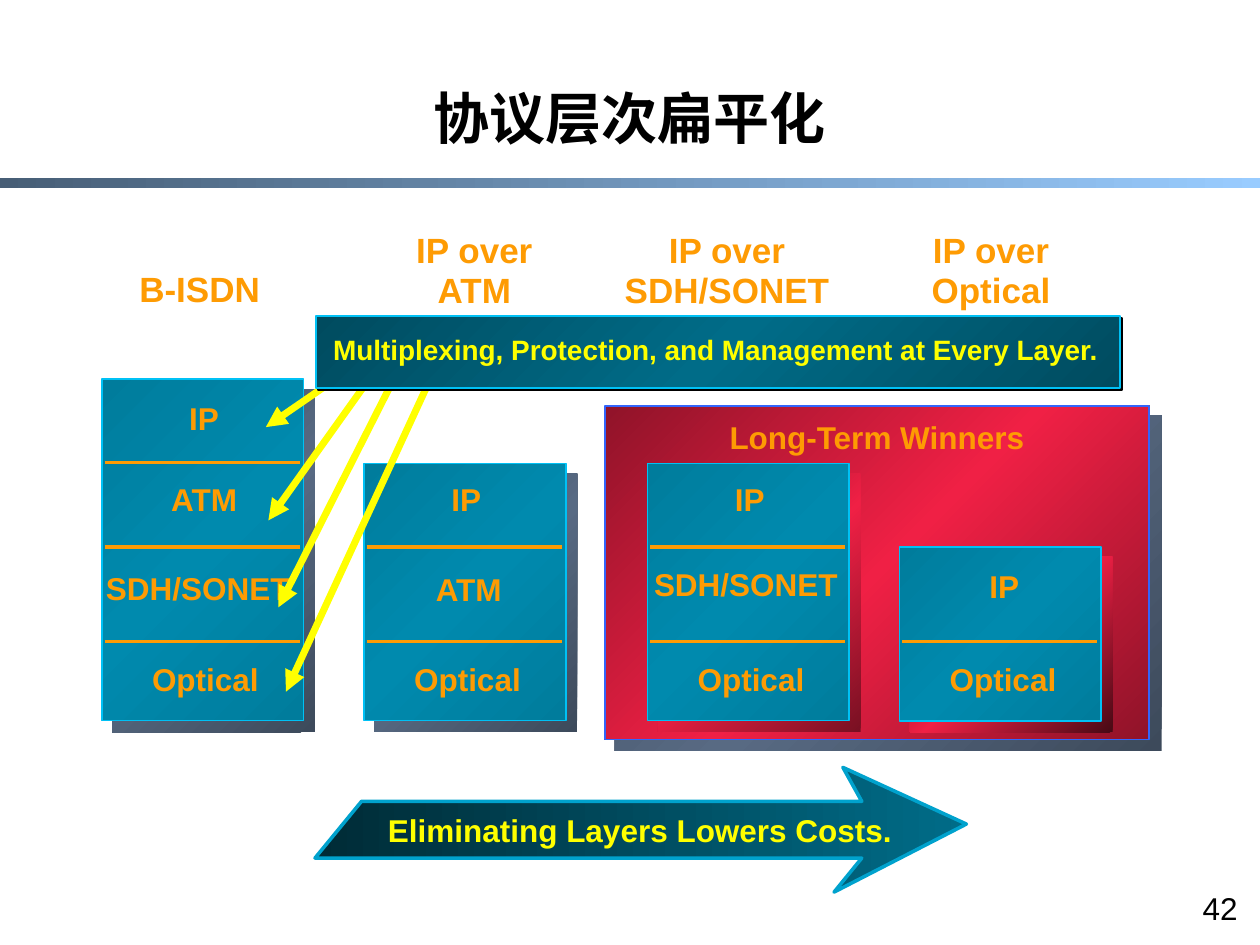
from copy import deepcopy

from lxml.etree import SubElement
from pptx import Presentation
from pptx.dml.color import RGBColor
from pptx.enum.shapes import MSO_CONNECTOR, MSO_SHAPE
from pptx.enum.text import MSO_ANCHOR, MSO_AUTO_SIZE, PP_ALIGN
from pptx.oxml.ns import qn
from pptx.util import Pt

PX = 9144  # 100 px to the inch

BLACK = RGBColor(0x00, 0x00, 0x00)
ORANGE = RGBColor(0xFE, 0x9B, 0x03)
YELLOW = RGBColor(0xFF, 0xFF, 0x00)
CYAN = RGBColor(0x00, 0xC1, 0xF5)
ARROW_EDGE = RGBColor(0x00, 0xA2, 0xCD)
PANEL_EDGE = RGBColor(0x33, 0x65, 0xFB)
BAR = (RGBColor(0x47, 0x5E, 0x76), RGBColor(0x99, 0xCC, 0xFF))
COST_FILL = (RGBColor(0x00, 0x2B, 0x36), RGBColor(0x00, 0x6C, 0x88))
# Diagonal gradients: edge colour, middle colour
SLATE = (RGBColor(0x3D, 0x4A, 0x5B), RGBColor(0x58, 0x6A, 0x83))
RED = RGBColor(0xF0, 0x20, 0x45)
PANEL_FILL = (RGBColor(0x90, 0x13, 0x29), RED)
WINE = (RGBColor(0x78, 0x10, 0x22), RED)
DARK_WINE = (RGBColor(0x48, 0x0A, 0x15), RED)
TEAL = (RGBColor(0x00, 0x7C, 0x9C), RGBColor(0x00, 0x8A, 0xAE))
BANNER_FILL = (RGBColor(0x00, 0x4B, 0x5F), RGBColor(0x00, 0x6C, 0x88))

STACK_WIDTH = 160
STACK_BOTTOM = 572
LABEL_WIDTH = 172
DIVIDER_RISES = (63, 138, 205)  # above the bottom of a stack

# left, top, shadow, layers as (text, centre, top) within the stack
STACKS = (
    (81, 301, SLATE, (("IP", 81, 14), ("ATM", 81, 78),
                      ("SDH/SONET", 76, 149), ("Optical", 82, 221))),
    (289, 368, SLATE, (("IP", 81, 11), ("ATM", 83, 83), ("Optical", 82, 154))),
    (514, 368, WINE, (("IP", 81, 11), ("SDH/SONET", 78, 79), ("Optical", 82, 154))),
    (714, 434, DARK_WINE, (("IP", 83, 14), ("Optical", 82, 88))),
)
HEADINGS = (
    ("B-ISDN", (95, 211, 127, 40)),
    ("IP over ATM", (293, 180, 167, 71)),
    ("IP over SDH/SONET", (485, 180, 184, 71)),
    ("IP over Optical", (712, 180, 149, 71)),
)
# tip x, tip y, tail x, tail y
POINTERS = ((227, 549, 347, 289), (211, 339, 272, 297),
            (213, 413, 295, 298), (221, 482, 314, 298))
COST_OUTLINE = ((287, 636), (250, 681), (684, 681), (662, 708),
                (767, 654), (669, 609), (684, 636))


def emu(*lengths):
    return [length * PX for length in lengths]


def apply_format(target, values):
    for name, value in values.items():
        setattr(target, name, value)


def paint(shape, colors, angle, line=None, line_width=1):
    """Fill with a gradient; an angle other than 0 runs edge, middle, edge."""
    shape.shadow.inherit = False
    shape.fill.gradient()
    shape.fill.gradient_angle = angle
    if angle:
        colors = (*colors, colors[0])
        stop_list = shape._element.spPr.find(qn("a:gradFill")).find(qn("a:gsLst"))
        stop_list.append(deepcopy(stop_list[-1]))
    for index, (stop, color) in enumerate(zip(shape.fill.gradient_stops, colors)):
        stop.position = index / (len(colors) - 1)
        stop.color.rgb = color
    if line is None:
        shape.line.fill.background()
    else:
        shape.line.color.rgb = line
        shape.line.width = Pt(line_width)


def add_rectangle(slide, box, colors, angle=315, line=None):
    shape = slide.shapes.add_shape(MSO_SHAPE.RECTANGLE, *emu(*box))
    paint(shape, colors, angle, line)
    return shape


def write(frame, text, size, color, bold=True, align=PP_ALIGN.CENTER, spacing=1.0):
    frame.text = text
    paragraph = frame.paragraphs[0]
    apply_format(paragraph, {"alignment": align, "line_spacing": spacing})
    apply_format(paragraph.font, {"name": "Arial", "size": Pt(size), "bold": bold})
    paragraph.font.color.rgb = color


def add_text(slide, box, text, size, color, inset=(8, 4), wrap=True, **style):
    frame = slide.shapes.add_textbox(*emu(*box)).text_frame
    across, down = emu(*inset)
    apply_format(frame, {"word_wrap": wrap, "margin_left": across, "margin_right": across,
                         "margin_top": down, "margin_bottom": down})
    write(frame, text, size, color, **style)


def add_line(slide, ends, color, width):
    line = slide.shapes.add_connector(MSO_CONNECTOR.STRAIGHT, *emu(*ends))
    line.line.color.rgb = color
    line.line.width = Pt(width)
    SubElement(line._element.spPr, qn("a:effectLst"))
    return line


def add_title(slide, box):
    title = slide.shapes.title
    apply_format(title, dict(zip(("left", "top", "width", "height"), emu(*box))))
    apply_format(title.text_frame, {"vertical_anchor": MSO_ANCHOR.BOTTOM,
                                    "auto_size": MSO_AUTO_SIZE.NONE, "word_wrap": True})
    write(title.text_frame, "协议层次扁平化", 32, BLACK, spacing=0.9)


def add_winners_panel(slide, left, top, width, height):
    add_rectangle(slide, (left + 8, top + 8, width + 2, height + 1), SLATE)
    add_rectangle(slide, (left, top, width, height), PANEL_FILL, line=PANEL_EDGE)
    add_text(slide, (left + 89, top + 5, 254, 39), "Long-Term Winners", 18, ORANGE,
             inset=(9, 5), wrap=False)


def add_stack(slide, left, top, shadow, layers):
    """Draw one protocol stack with its drop shadow, labels and dividers."""
    height = STACK_BOTTOM - top
    add_rectangle(slide, (left + 8, top + 8, STACK_WIDTH + 1, height + 1), shadow)
    add_rectangle(slide, (left, top, STACK_WIDTH, height), TEAL, line=CYAN)
    for text, centre, label_top in layers:
        box = (left + centre - LABEL_WIDTH // 2, top + label_top, LABEL_WIDTH, 36)
        add_text(slide, box, text, 18, ORANGE, spacing=0.95)
    for rise in DIVIDER_RISES[:len(layers) - 1]:
        y = STACK_BOTTOM - rise
        add_line(slide, (left + 2, y, left + 157, y), ORANGE, 2)


def add_pointers(slide):
    for ends in POINTERS:
        pointer = add_line(slide, ends, YELLOW, 4)
        SubElement(pointer.line._get_or_add_ln(), qn("a:headEnd"), type="triangle")


def add_banner(slide, left, top, width, height):
    banner = add_rectangle(slide, (left, top, width, height), BANNER_FILL, line=CYAN)
    effects = banner._element.spPr.find(qn("a:effectLst"))
    shadow = SubElement(effects, qn("a:outerShdw"), dist=str(Pt(1.4)), dir="2700000",
                        algn="ctr", rotWithShape="0")
    SubElement(shadow, qn("a:srgbClr"), val=str(BLACK))
    add_text(slide, (left - 1, top + 8, width - 2, 36),
             "Multiplexing, Protection, and Management at Every Layer.", 16, YELLOW,
             inset=(9, 5))


def add_cost_arrow(slide):
    start, *corners = COST_OUTLINE
    builder = slide.shapes.build_freeform(*start, scale=PX)
    builder.add_line_segments(corners, close=True)
    paint(builder.convert_to_shape(), COST_FILL, 0, ARROW_EDGE, 2)
    add_text(slide, (298, 639, 420, 40), "Eliminating Layers Lowers Costs.", 18, YELLOW,
             inset=(10, 5), wrap=False)


def main():
    presentation = Presentation()
    presentation.slide_width, presentation.slide_height = emu(1000, 750)
    slide = presentation.slides.add_slide(presentation.slide_layouts[5])
    add_rectangle(slide, (0, 141, 1000, 8), BAR, angle=0)
    add_text(slide, (858, 701, 134, 40), "42", 18, BLACK, inset=(10, 5),
             bold=False, align=PP_ALIGN.RIGHT)
    add_title(slide, (108, 33, 783, 92))
    for text, box in HEADINGS:
        add_text(slide, box, text, 20, ORANGE, spacing=0.95)
    add_winners_panel(slide, 480, 322, 432, 265)
    for stack in STACKS:
        add_stack(slide, *stack)
    add_pointers(slide)
    add_banner(slide, 251, 251, 638, 57)
    add_cost_arrow(slide)
    presentation.save("out.pptx")


if __name__ == "__main__":
    main()
